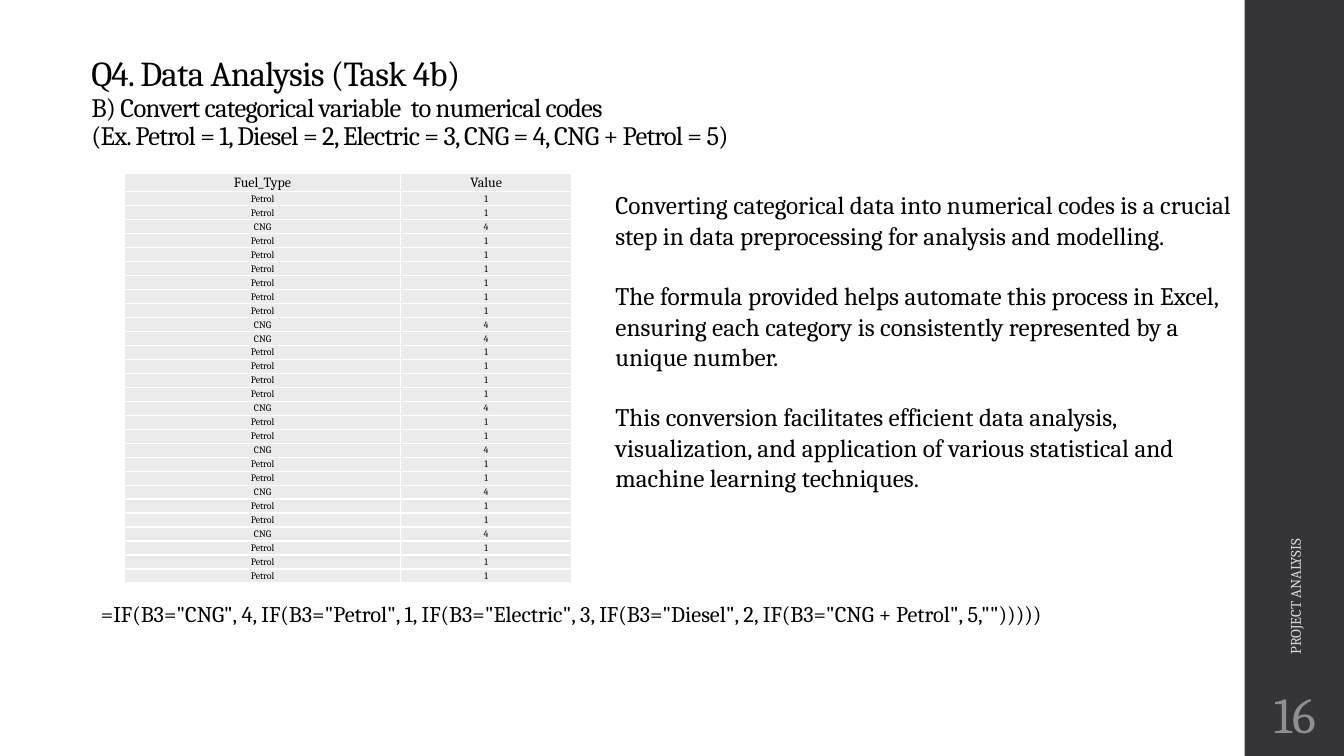
from lxml import etree
from pptx import Presentation
from pptx.dml.color import RGBColor
from pptx.enum.shapes import MSO_SHAPE
from pptx.enum.text import MSO_ANCHOR, MSO_AUTO_SIZE, PP_ALIGN
from pptx.oxml.ns import qn
from pptx.util import Pt

RECTANGLE = MSO_SHAPE.RECTANGLE
LEFT, CENTER = PP_ALIGN.LEFT, PP_ALIGN.CENTER
TOP, MIDDLE, BOTTOM = MSO_ANCHOR.TOP, MSO_ANCHOR.MIDDLE, MSO_ANCHOR.BOTTOM
NO_AUTOFIT = MSO_AUTO_SIZE.NONE

FONT = "Cambria"
BLACK = RGBColor(0x00, 0x00, 0x00)
SIDEBAR = RGBColor(0x35, 0x35, 0x37)
CELL = RGBColor(0xEB, 0xEB, 0xEB)
PAGE_NUMBER = RGBColor(0x8E, 0x8E, 0x94)
FOOTER = RGBColor(0xD9, 0xD9, 0xDB)

FUEL_CODES = {"Petrol": 1, "CNG": 4}
ROW_COUNT = 28
CNG_ROWS = {3, 10, 11, 16, 19, 22, 25}

TITLE_LINES = [
    ("Q4. Data Analysis (Task 4b) ", 25),
    ("B) Convert categorical variable  to numerical codes ", 19),
    ("(Ex. Petrol = 1, Diesel = 2, Electric = 3, CNG = 4, CNG + Petrol = 5)", 19),
]
EXPLANATION = [
    "Converting categorical data into numerical codes is a crucial step in data "
    "preprocessing for analysis and modelling.",
    "The formula provided helps automate this process in Excel, ensuring each "
    "category is consistently represented by a unique number.",
    "This conversion facilitates efficient data analysis, visualization, and "
    "application of various statistical and machine learning techniques.",
]
FORMULA = (
    '=IF(B3="CNG", 4, IF(B3="Petrol", 1, IF(B3="Electric", 3, '
    'IF(B3="Diesel", 2, IF(B3="CNG + Petrol", 5,"")))))'
)


def add_run(paragraph, text, size, color=BLACK):
    run = paragraph.add_run()
    run.text = text
    run.font.name = FONT
    run.font.size = Pt(size)
    run.font.color.rgb = color
    return run


def add_text_box(slide, box, texts, size, color=BLACK, anchor=TOP, align=LEFT, gap=0):
    """Add a text box with one paragraph per text, gap points apart."""
    shape = slide.shapes.add_textbox(*[Pt(value) for value in box])
    frame = shape.text_frame
    frame.word_wrap = True
    frame.vertical_anchor = anchor
    for index, text in enumerate(texts):
        paragraph = frame.add_paragraph() if index else frame.paragraphs[0]
        paragraph.alignment = align
        paragraph.space_before = Pt(gap if index else 0)
        add_run(paragraph, text, size, color)
    return shape


presentation = Presentation()
presentation.slide_width = Pt(960)
presentation.slide_height = Pt(540)
slide = presentation.slides.add_slide(presentation.slide_layouts[5])

# Sidebar
sidebar = slide.shapes.add_shape(RECTANGLE, Pt(889), Pt(0), Pt(71), Pt(540))
sidebar.shadow.inherit = False
sidebar.fill.solid()
sidebar.fill.fore_color.rgb = SIDEBAR
sidebar.line.fill.background()

# Title
title = slide.shapes.title
title.left, title.top, title.width, title.height = Pt(58), Pt(32), Pt(802), Pt(80)
title.text_frame.word_wrap = True
title.text_frame.auto_size = NO_AUTOFIT
title.text_frame.vertical_anchor = BOTTOM
paragraph = title.text_frame.paragraphs[0]
paragraph.alignment = LEFT
paragraph.line_spacing = 0.9
for index, (text, size) in enumerate(TITLE_LINES):
    if index:
        paragraph.add_line_break()
    run = add_run(paragraph, text, size)
    run.font._element.set("spc", "-50")

# Fuel type table
fuels = ["CNG" if row in CNG_ROWS else "Petrol" for row in range(1, ROW_COUNT + 1)]
table_rows = [("Fuel_Type", "Value")] + [(fuel, str(FUEL_CODES[fuel])) for fuel in fuels]
table = slide.shapes.add_table(
    len(table_rows), 2, Pt(89), Pt(124), Pt(319.5), Pt(293)
).table
table.first_row = False
table.horz_banding = False
table.columns[0].width = Pt(197)
table.columns[1].width = Pt(122.5)
for row_index, values in enumerate(table_rows):
    table.rows[row_index].height = Pt(10 if row_index else 13)
    for column_index, value in enumerate(values):
        cell = table.cell(row_index, column_index)
        cell.margin_left = cell.margin_right = cell.margin_top = Pt(0.7)
        cell.margin_bottom = Pt(0)
        cell.vertical_anchor = MIDDLE
        properties = cell._tc.get_or_add_tcPr()
        for side in ("lnL", "lnR", "lnT", "lnB"):
            border = etree.SubElement(properties, qn(f"a:{side}"), w=str(Pt(1)))
            border_fill = etree.SubElement(border, qn("a:solidFill"))
            etree.SubElement(border_fill, qn("a:srgbClr"), val="FFFFFF")
        cell.fill.solid()
        cell.fill.fore_color.rgb = CELL
        paragraph = cell.text_frame.paragraphs[0]
        paragraph.alignment = CENTER
        add_run(paragraph, value, 7 if row_index else 10)

# Explanation and formula
add_text_box(slide, (432.5, 132, 465, 269), EXPLANATION, 18, gap=21.7)
add_text_box(slide, (65, 425, 824, 46), [FORMULA], 16)

# Page number and footer
page_number = add_text_box(
    slide, (889, 486, 72, 47), ["16"], 36, PAGE_NUMBER, MIDDLE, CENTER
)
frame = page_number.text_frame
frame.margin_left = frame.margin_right = Pt(3.6)
footer = add_text_box(
    slide, (784, 319, 282, 29), ["PROJECT ANALYSIS"], 10.5, FOOTER, MIDDLE
)
footer.rotation = 270

presentation.save("out.pptx")
